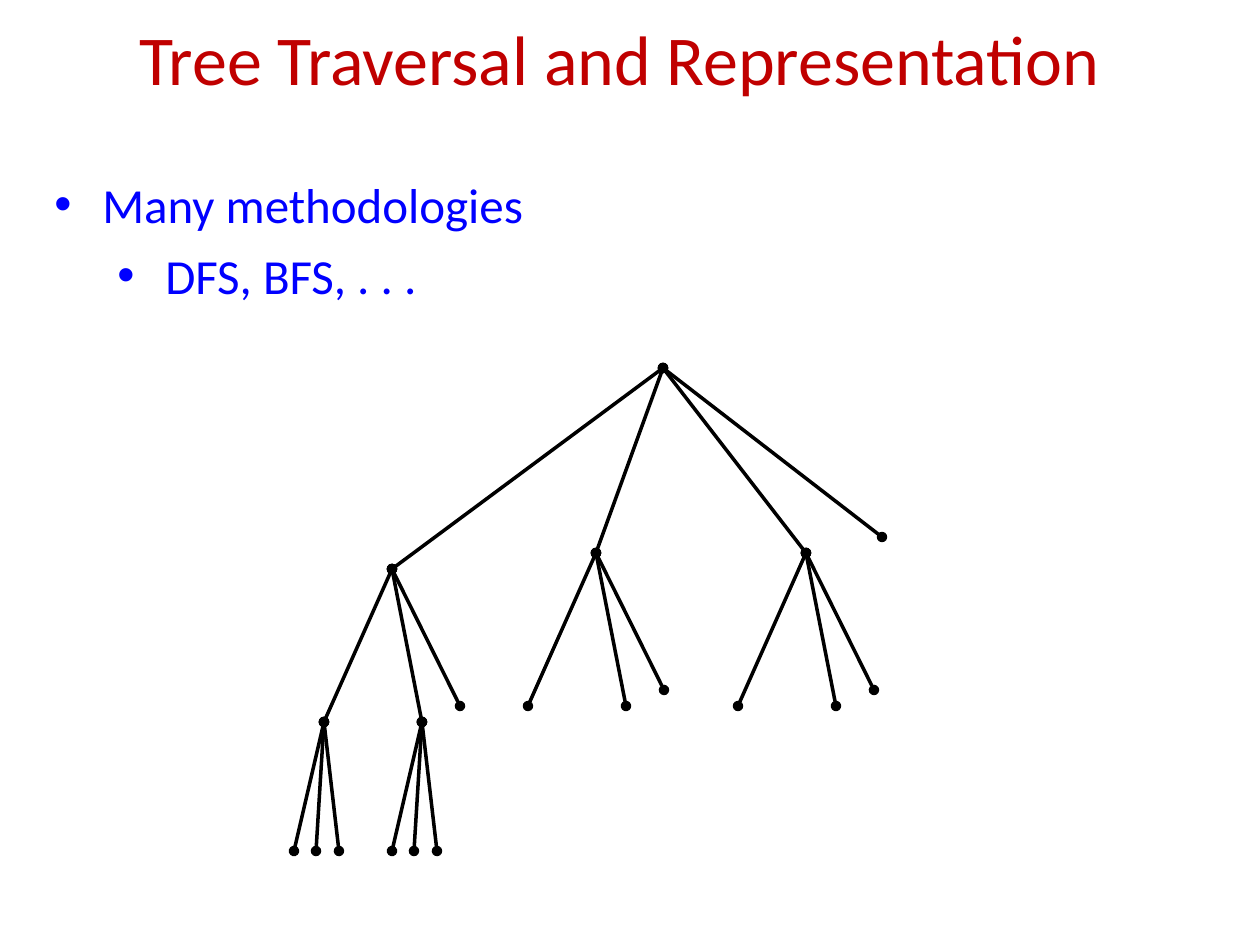
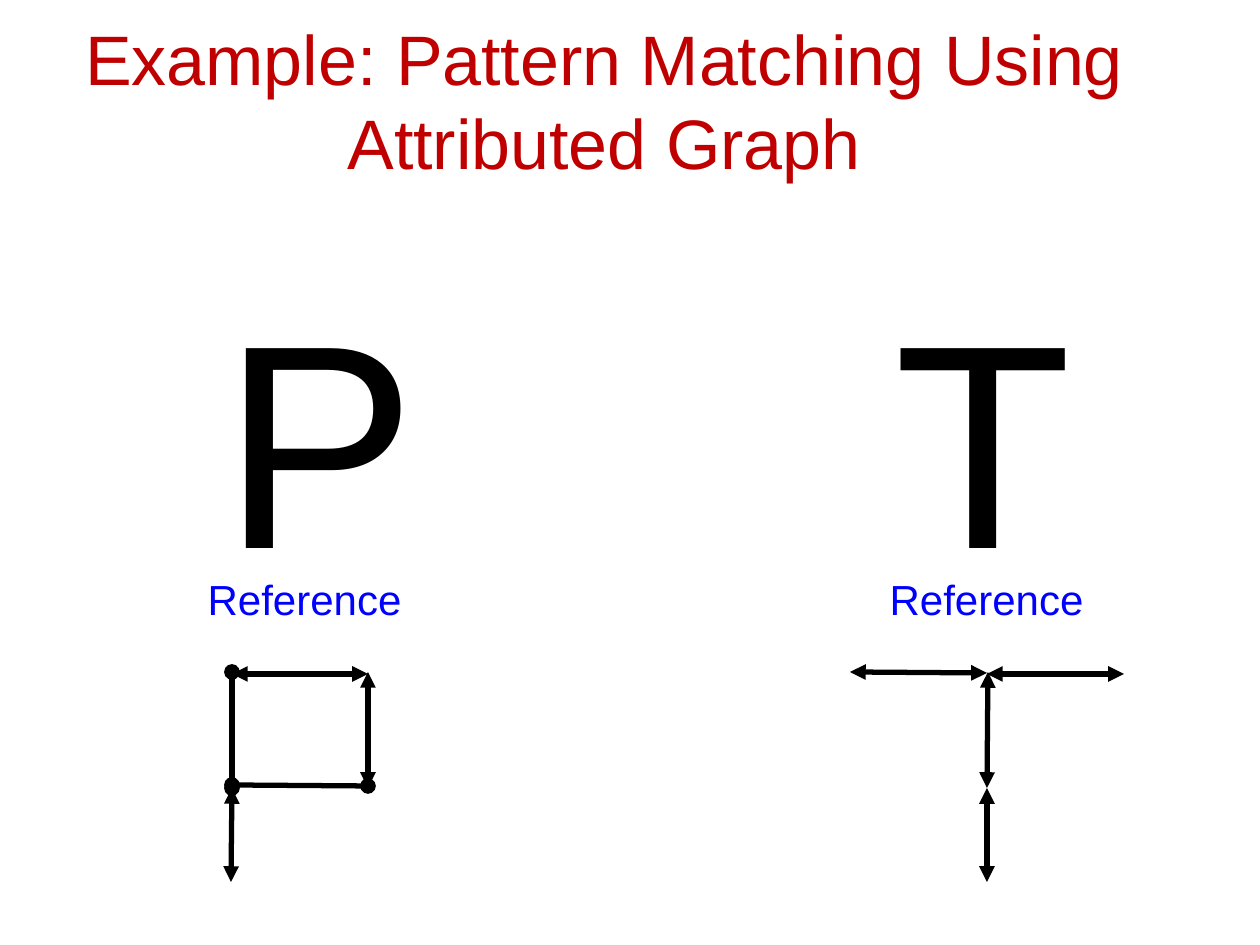
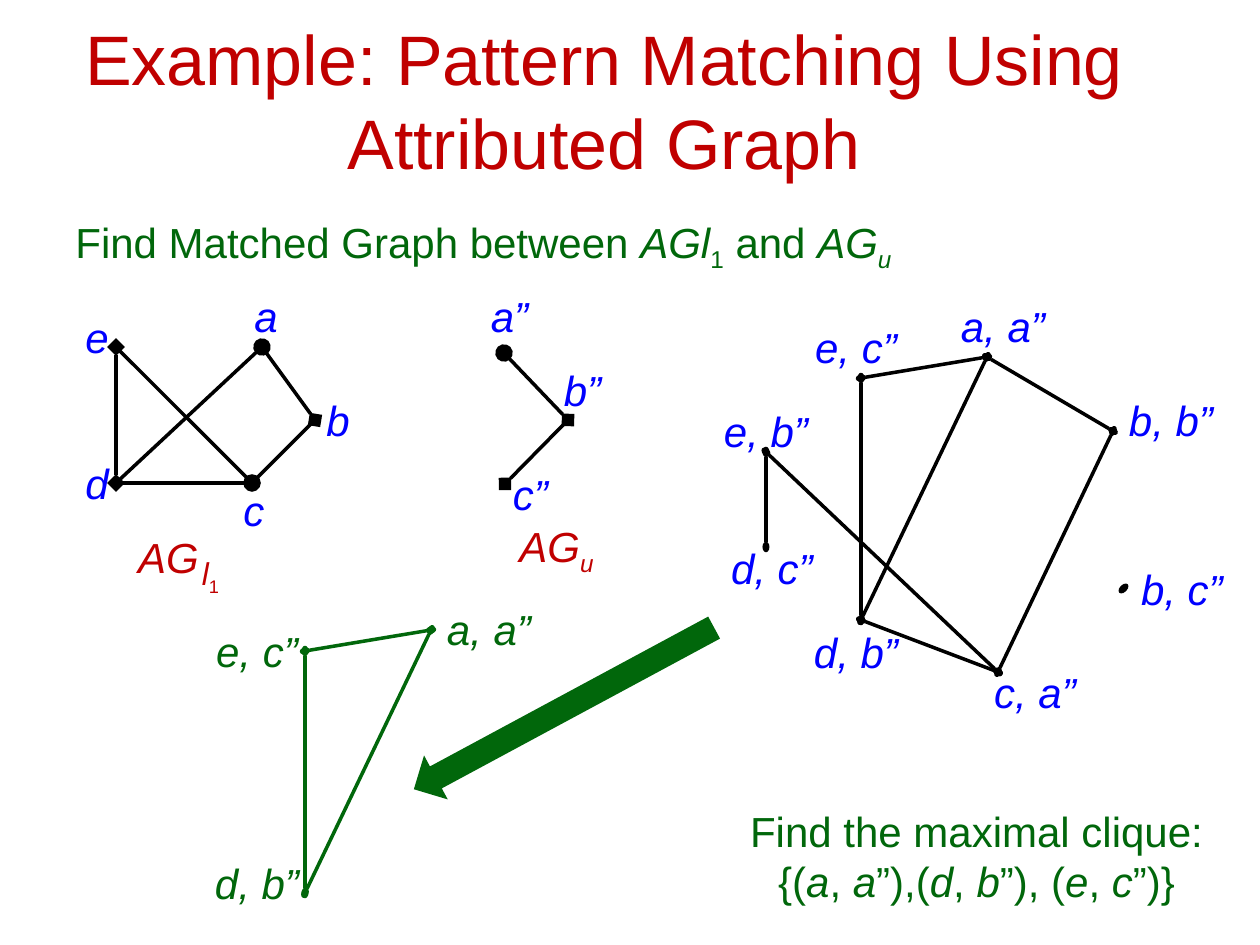
from dataclasses import dataclass

from lxml import etree
from pptx import Presentation
from pptx.dml.color import RGBColor
from pptx.enum.shapes import MSO_CONNECTOR, MSO_SHAPE
from pptx.enum.text import MSO_ANCHOR, MSO_AUTO_SIZE, PP_ALIGN
from pptx.oxml.ns import qn
from pptx.util import Emu, Pt

STRAIGHT = MSO_CONNECTOR.STRAIGHT
DOWN_ARROW = MSO_SHAPE.DOWN_ARROW
MIDDLE = MSO_ANCHOR.MIDDLE
FIXED, GROW = MSO_AUTO_SIZE.NONE, MSO_AUTO_SIZE.SHAPE_TO_FIT_TEXT
LEFT, CENTER = PP_ALIGN.LEFT, PP_ALIGN.CENTER
PX_PER_INCH = 126
TITLE_ONLY = 5


@dataclass(frozen=True)
class Theme:
    """Colours, fonts and type sizes of the deck."""
    red: str = "C00000"
    blue: str = "0000FF"
    green: str = "01670B"
    black: str = "000000"
    sans: str = "Arial"
    humanist: str = "Calibri"
    title: int = 40
    bullet: int = 28
    body: int = 24
    small: int = 18
    letter: int = 166


THEME = Theme()
MATCHING_TITLE = "Example: Pattern Matching Using Attributed Graph"
MATCHING_BOX = (42, 63, 1124, 73)
LABEL_WIDTHS = {1: 42, 2: 73, 5: 116}
LABEL_HEIGHT = 63


def px(n):
    """Turn pixels into EMU."""
    return Emu(round(n * 914400 / PX_PER_INCH))


def style(font, size, color, name=THEME.sans):
    """Set the face, size and colour of a font."""
    font.name, font.size = name, Pt(size)
    font.color.rgb = RGBColor.from_string(color)


def add_slide(prs, title, box, name=THEME.sans):
    """Add a slide with a red centred title in the given box."""
    s = prs.slides.add_slide(prs.slide_layouts[TITLE_ONLY])
    sp = s.shapes.title
    sp.left, sp.top, sp.width, sp.height = map(px, box)
    tf = sp.text_frame
    tf.text = title
    tf.word_wrap, tf.auto_size, tf.vertical_anchor = True, FIXED, MIDDLE
    p = tf.paragraphs[0]
    p.alignment = CENTER
    style(p.runs[0].font, THEME.title, THEME.red, name)
    return s


def add_box(s, box, auto_size=GROW):
    """Add an empty wrapping text box and return its text frame."""
    tf = s.shapes.add_textbox(*map(px, box)).text_frame
    tf.word_wrap, tf.auto_size = True, auto_size
    return tf


def add_text(s, box, runs, color, size=THEME.body, align=CENTER):
    """Add a line of runs, each a text with flags: i italic, _ subscript."""
    p = add_box(s, box).paragraphs[0]
    p.alignment = align
    for text, flags in runs:
        r = p.add_run()
        r.text = text
        style(r.font, size, color)
        r.font.italic = "i" in flags
        if "_" in flags:
            r.font._element.set("baseline", "-25000")


def add_labels(s, labels, color):
    """Add italic node labels, as wide as their length asks for."""
    for text, x, y in labels:
        box = (x, y, LABEL_WIDTHS[len(text)], LABEL_HEIGHT)
        add_text(s, box, [(text, "i")], color)


def add_bullets(s, box, items):
    """Add bulleted paragraphs, one level deeper at each item."""
    tf = add_box(s, box, FIXED)
    tf.text = "\n".join(items)
    for level, p in enumerate(tf.paragraphs):
        p.level = level
        pPr = p._p.get_or_add_pPr()
        pPr.set("marL", str(px(48 + 63 * level)))
        pPr.set("indent", str(px(-48)))
        clr = etree.SubElement(pPr, qn("a:buClr"))
        etree.SubElement(clr, qn("a:srgbClr"), val=THEME.blue)
        etree.SubElement(pPr, qn("a:buFont"), typeface=THEME.sans)
        etree.SubElement(pPr, qn("a:buChar"), char="•")
        if level:
            p.space_before = Pt(7)
        style(p.runs[0].font, THEME.bullet, THEME.blue, THEME.humanist)


def add_line(shapes, start, end, ends=(None, None), width=2,
             color=THEME.black, end_size=("med", "med")):
    """Add a straight line with a marker, or none, at each end."""
    cxn = shapes.add_connector(STRAIGHT, *map(px, (*start, *end)))
    cxn.line.width = Pt(width)
    cxn.line.color.rgb = RGBColor.from_string(color)
    ln = cxn.line._get_or_add_ln()
    for tag, kind in zip(("a:headEnd", "a:tailEnd"), ends):
        if kind:
            etree.SubElement(ln, qn(tag), type=kind, w=end_size[0], len=end_size[1])
    etree.SubElement(cxn._element.spPr, qn("a:effectLst"))


def add_graph(s, nodes, edges, **look):
    """Join named nodes by edges of (from, to, head, tail)."""
    for a, b, *ends in edges:
        add_line(s.shapes, nodes[a], nodes[b], ends, **look)


def add_fan(shapes, top, offsets):
    """Draw tree branches from one node to its children."""
    for dx, dy in offsets:
        add_line(shapes, top, (top[0] + dx, top[1] + dy), ("oval", "oval"))


def build_tree(prs):
    """Build the tree traversal slide."""
    s = add_slide(prs, "Tree Traversal and Representation",
                  (21, 21, 1197, 73), THEME.humanist)
    add_bullets(s, (42, 168, 882, 284), ["Many methodologies", "DFS, BFS, . . ."])
    tree = s.shapes.add_group_shape().shapes
    for top in ((324, 722), (422, 722)):
        add_fan(tree, top, [(-30, 129), (-8, 129), (15, 129)])
    for top in ((392, 569), (596, 553), (806, 553)):
        add_fan(tree, top, [(-68, 153), (68, 137), (30, 153)])
    add_fan(tree, (663, 368), [(-271, 201), (143, 185), (-67, 185), (219, 169)])


def build_references(prs):
    """Build the slide with the reference letters and their strokes."""
    s = add_slide(prs, MATCHING_TITLE, MATCHING_BOX)
    for letter, x, width in (("P", 210, 200), ("T", 882, 252)):
        add_text(s, (x, 252, width, 362), [(letter, "")], THEME.black,
                 THEME.letter, LEFT)
    strokes = [
        ((987, 788), (987, 882)), ((987, 674), (1124, 674)),
        ((850, 672), (987, 673)), ((988, 672), (987, 788)),
        ((232, 788), (231, 882)), ((232, 674), (368, 674)),
        ((368, 672), (368, 788)),
    ]
    for start, end in strokes:
        add_line(s.shapes, start, end, ("triangle", "triangle"), 3)
    for start, end in (((232, 785), (368, 786)), ((232, 672), (232, 788))):
        add_line(s.shapes, start, end, ("oval", "oval"), 3)
    for x in (168, 850):
        add_text(s, (x, 567, 273, LABEL_HEIGHT), [("Reference", "")], THEME.blue)


def build_matching(prs):
    """Build the slide that matches two graphs and finds the clique."""
    s = add_slide(prs, MATCHING_TITLE, MATCHING_BOX)
    add_text(s, (63, 210, 966, 71), [
        ("Find Matched Graph between ", ""), ("AGl", "i"), ("1", "_"),
        (" and ", ""), ("AG", "i"), ("u", "i_")], THEME.green, align=LEFT)

    learned = {"e": (116, 347), "a": (262, 347), "b": (315, 420),
               "c": (252, 483), "d": (116, 483)}
    add_graph(s, learned, [
        ("e", "d", "diamond", "diamond"), ("e", "c"), ("d", "c", None, "oval"),
        ("d", "a", None, "oval"), ("a", "b", None, "diamond"), ("c", "b")],
        end_size=("lg", "lg"))
    unknown = {"a”": (504, 353), "b”": (568, 420), "c”": (505, 484)}
    add_graph(s, unknown, [("a”", "b”", "oval", "diamond"),
                           ("c”", "b”", "diamond", None)], end_size=("lg", "lg"))
    add_labels(s, [
        ("a", 242, 284), ("c", 231, 478), ("b", 314, 388), ("d", 73, 451),
        ("e", 73, 305), ("a”", 473, 284), ("b”", 546, 358), ("c”", 494, 462)],
        THEME.blue)
    add_text(s, (158, 548, 105, 55), [("l", "i"), ("1", "_")], THEME.red, THEME.small)
    add_text(s, (116, 525, 105, LABEL_HEIGHT), [("AG", "i")], THEME.red)
    add_text(s, (504, 514, 105, 71), [("AG", "i"), ("u", "i_")], THEME.red)

    pairs = {"aa": (987, 357), "ec": (861, 378), "db": (861, 620),
             "ca": (998, 672), "bb": (1113, 431), "eb": (766, 452),
             "dc": (766, 547)}
    ovals, dots = ("oval", "oval"), ("sm", "med")
    clique_edges = [(a, b, *ovals) for a, b in
                    (("ec", "db"), ("db", "aa"), ("ec", "aa"))]
    other_edges = [(a, b, *ovals) for a, b in
                   (("db", "ca"), ("aa", "bb"), ("ca", "bb"),
                    ("ca", "eb"), ("eb", "dc"))]
    add_graph(s, pairs, clique_edges + other_edges, end_size=dots)
    add_line(s.shapes, (1123, 589), (1124, 588), ovals, end_size=dots)
    add_labels(s, [
        ("a, a”", 945, 294), ("b, b”", 1113, 388), ("b, c”", 1124, 557),
        ("c, a”", 977, 660), ("d, b”", 798, 620), ("d, c”", 714, 536),
        ("e, b”", 708, 399), ("e, c”", 798, 315)], THEME.blue)

    add_text(s, (714, 799, 525, 113), [
        ("Find the maximal clique: {(", ""), ("a", "i"), (", ", ""), ("a", "i"),
        ("”),(", ""), ("d", "i"), (", ", ""), ("b", "i"), ("”), (", ""),
        ("e", "i"), (", ", ""), ("c", "i"), ("”)}", "")], THEME.green)
    clique = {name: (x - 556, y + 273) for name, (x, y) in pairs.items()}
    add_graph(s, clique, clique_edges, color=THEME.green, end_size=dots)
    add_labels(s, [("a, a”", 431, 597), ("d, b”", 199, 851), ("e, c”", 199, 619)],
               THEME.green)
    arrow = s.shapes.add_shape(DOWN_ARROW, *map(px, (539, 538, 50, 341)))
    arrow.rotation = 61.7
    arrow.shadow.inherit = False
    arrow.fill.solid()
    arrow.fill.fore_color.rgb = RGBColor.from_string(THEME.green)
    arrow.line.fill.background()


def main():
    """Build and save the deck."""
    prs = Presentation()
    prs.slide_width, prs.slide_height = px(1260), px(945)
    build_tree(prs)
    build_references(prs)
    build_matching(prs)
    prs.save("out.pptx")


if __name__ == "__main__":
    main()
